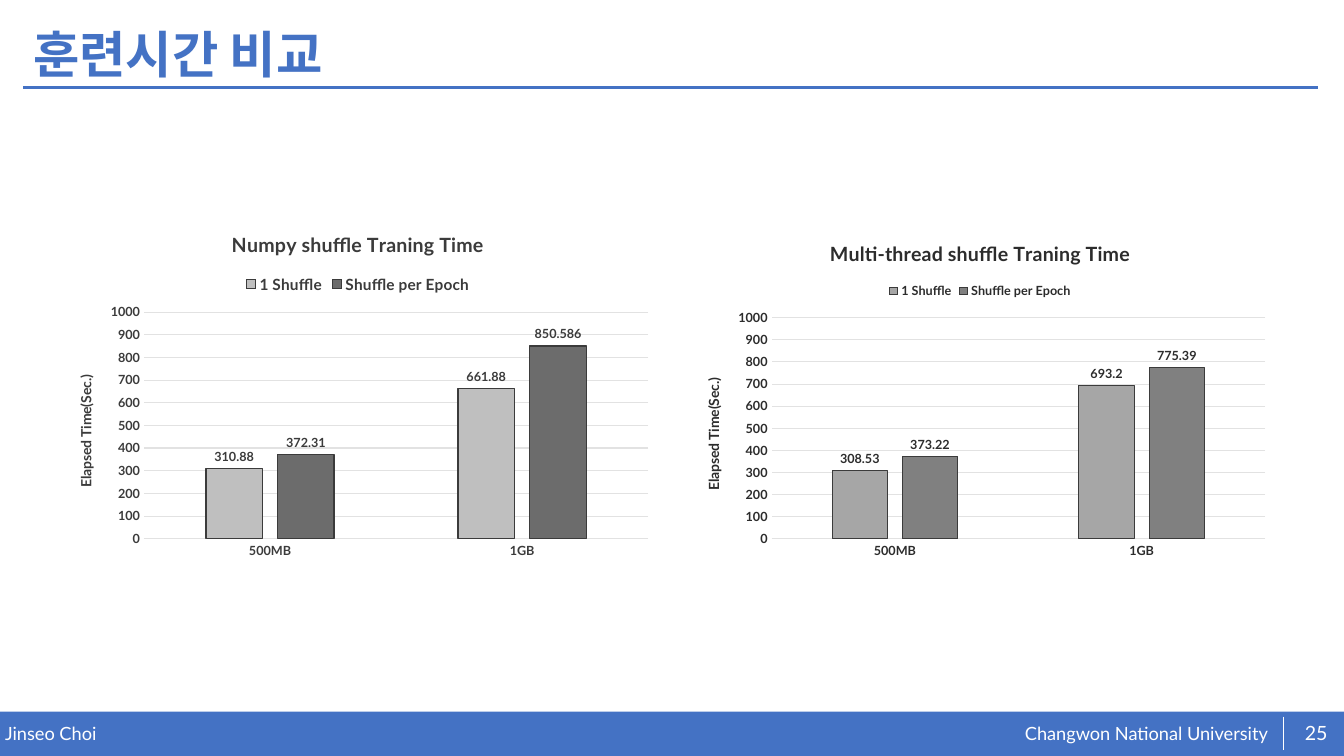
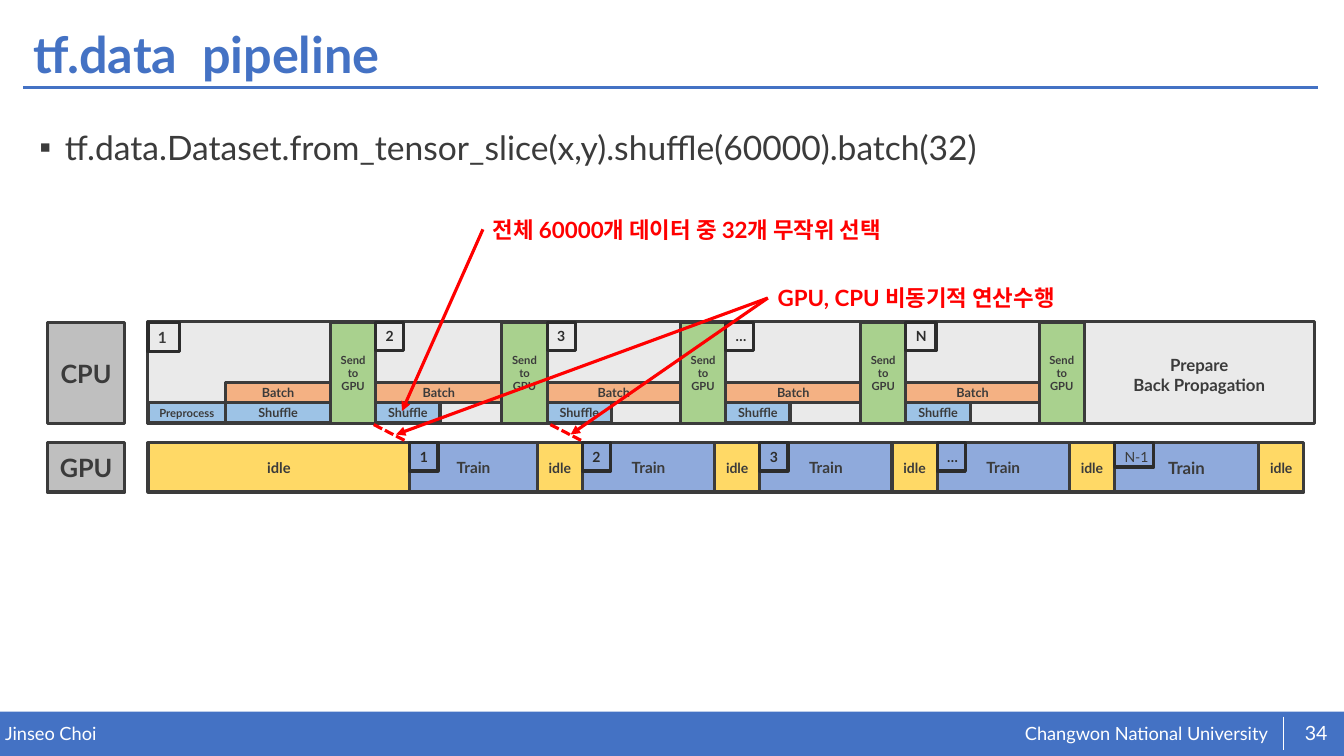
"""Build two slides: a training time comparison and a tf.data pipeline timeline."""
from dataclasses import dataclass
from typing import Optional

from lxml import etree
from pptx import Presentation
from pptx.chart.data import CategoryChartData
from pptx.dml.color import RGBColor
from pptx.enum.chart import XL_CHART_TYPE, XL_LABEL_POSITION, XL_LEGEND_POSITION, XL_TICK_MARK
from pptx.enum.dml import MSO_LINE
from pptx.enum.shapes import MSO_CONNECTOR, MSO_SHAPE
from pptx.enum.text import MSO_ANCHOR, MSO_AUTO_SIZE, PP_ALIGN
from pptx.oxml.ns import qn
from pptx.util import Cm, Pt

LEFT, CENTER = PP_ALIGN.LEFT, PP_ALIGN.CENTER
TOP, MIDDLE = MSO_ANCHOR.TOP, MSO_ANCHOR.MIDDLE
NO_FIT = MSO_AUTO_SIZE.NONE
RECTANGLE = MSO_SHAPE.RECTANGLE
STRAIGHT = MSO_CONNECTOR.STRAIGHT
DASHED = MSO_LINE.SQUARE_DOT
COLUMNS = XL_CHART_TYPE.COLUMN_CLUSTERED
OUTSIDE_END = XL_LABEL_POSITION.OUTSIDE_END
LEGEND_TOP = XL_LEGEND_POSITION.TOP
NO_TICK = XL_TICK_MARK.NONE

FONT = "Lato"
COLORS = {
    "accent": "4472C4", "white": "FFFFFF", "text": "3B3B3B", "dark": "2C2C2C",
    "grid": "E2E2E2", "red": "FF0000", "unit": "BFBFBF", "panel": "EAEAEA",
    "idle": "FFD966", "train": "8FAADC", "shuffle": "9DC3E6", "batch": "F4B183",
    "send": "A9D18E", "silver": "BFBFBF", "graphite": "6C6C6C",
    "ash": "A6A6A6", "gray": "808080",
}
NO_MARGINS = (0, 0, 0, 0)
TEXT_MARGINS = (0.25, 0.13, 0, 0.13)

CPU_TOP, CPU_HEIGHT = 8.13, 2.54
GPU_TOP, GPU_HEIGHT = 11.16, 1.24
BATCH_TOP, SHUFFLE_TOP, STRIP_HEIGHT = 9.63, 10.15, 0.51
START, FIRST_SHUFFLE, FIRST_TRAIN = 3.73, 5.69, 10.33
SLOT = 1.14
SHUFFLE_WIDTH = 1.62
TAG_SIZE = 0.71
SENDS = (8.33, 12.65, 17.15, 21.69, 26.19)
IDLES = (13.54, 18.01, 22.48, 26.95, 31.72)


@dataclass(frozen=True)
class Area:
    left: float
    top: float
    width: float
    height: float

    def lengths(self) -> tuple:
        return Cm(self.left), Cm(self.top), Cm(self.width), Cm(self.height)


@dataclass(frozen=True)
class Block:
    text: str
    area: Area
    fill: str
    size: float


@dataclass(frozen=True)
class Tag:
    text: str
    left: float
    top: float
    width: float = TAG_SIZE
    height: float = TAG_SIZE
    size: float = 10
    color: str = "dark"
    bold: bool = True


@dataclass(frozen=True)
class TimeChart:
    title: str
    area: Area
    values: dict
    fills: tuple
    color: str
    legend_size: float
    outline: float


def rgb(name: str) -> RGBColor:
    return RGBColor.from_string(COLORS[name])


def style_font(font, size: float, color: str = "text", bold: bool = True) -> None:
    font.name = FONT
    font.size = Pt(size)
    font.bold = bold
    font.color.rgb = rgb(color)


def write(frame, text: str, *, size: float, color: str = "text", bold: bool = True,
          align=LEFT, anchor=TOP, margins: Optional[tuple] = None,
          spacing: Optional[float] = None, bullet: Optional[str] = None) -> None:
    frame.word_wrap = True
    frame.auto_size = NO_FIT
    frame.vertical_anchor = anchor
    if margins is not None:
        (frame.margin_left, frame.margin_top,
         frame.margin_right, frame.margin_bottom) = map(Cm, margins)
    for index, line in enumerate(text.split("\n")):
        paragraph = frame.add_paragraph() if index else frame.paragraphs[0]
        if bullet:
            properties = paragraph._p.get_or_add_pPr()
            properties.set("marL", str(Cm(0.64)))
            properties.set("indent", str(-Cm(0.64)))
            etree.SubElement(properties, qn("a:buChar")).set("char", bullet)
        paragraph.alignment = align
        paragraph.space_before = Pt(0)
        if spacing:
            paragraph.line_spacing = spacing
        run = paragraph.add_run()
        run.text = line
        style_font(run.font, size, color, bold)


def add_box(slide, area: Area, fill: Optional[str] = None, outline: Optional[str] = "text"):
    box = slide.shapes.add_shape(RECTANGLE, *area.lengths())
    box.shadow.inherit = False
    if fill:
        box.fill.solid()
        box.fill.fore_color.rgb = rgb(fill)
    else:
        box.fill.background()
    if outline:
        box.line.color.rgb = rgb(outline)
        box.line.width = Pt(2.25)
    else:
        box.line.fill.background()
    return box


def add_text(slide, area: Area, text: str, **style):
    caption = slide.shapes.add_textbox(*area.lengths())
    write(caption.text_frame, text, **style)
    return caption


def add_line(slide, start: tuple, end: tuple, color: str, width: float,
             dashed: bool = False, arrow: bool = False, source=None) -> None:
    connector = slide.shapes.add_connector(STRAIGHT, *map(Cm, start + end))
    connector.line.color.rgb = rgb(color)
    connector.line.width = Pt(width)
    if dashed:
        connector.line.dash_style = DASHED
    if arrow:
        etree.SubElement(connector.line._get_or_add_ln(), qn("a:tailEnd")).set("type", "triangle")
    etree.SubElement(connector._element.spPr, qn("a:effectLst"))
    if source is not None:
        connector.begin_connect(source, 1)


def add_block(slide, block: Block) -> None:
    write(add_box(slide, block.area, block.fill).text_frame, block.text, size=block.size,
          align=CENTER, anchor=MIDDLE, margins=NO_MARGINS)


def add_tag(slide, tag: Tag) -> None:
    box = add_box(slide, Area(tag.left, tag.top, tag.width, tag.height), outline="dark")
    write(box.text_frame, tag.text, size=tag.size, color=tag.color, bold=tag.bold,
          margins=TEXT_MARGINS)


def start_slide(deck, layout: int, title: str, number: int):
    slide = deck.slides.add_slide(deck.slide_layouts[layout])
    heading = slide.shapes.title
    heading.left, heading.top, heading.width, heading.height = Area(0.58, 0.46, 32.66, 1.96).lengths()
    write(heading.text_frame, title, size=36, color="accent", anchor=MIDDLE, spacing=0.9)
    add_box(slide, Area(0, 17.93, 33.87, 1.12), "accent", None)
    footer = {"color": "white", "bold": False, "margins": NO_MARGINS}
    add_text(slide, Area(25.83, 18.19, 6.78, 0.58), "Changwon National University", size=13, **footer)
    add_text(slide, Area(0.13, 18.21, 16.64, 0.56), "Jinseo Choi", size=13, **footer)
    add_line(slide, (0.58, 2.21), (33.22, 2.21), "accent", 2)
    add_line(slide, (32.33, 18.06), (32.33, 18.9), "white", 0.5)
    add_text(slide, Area(32.56, 17.96, 1.22, 1.02), str(number), size=14,
             align=CENTER, anchor=MIDDLE, **footer)
    return slide


def style_title(owner, text: str, size: float, color: str) -> None:
    owner.has_title = True
    run = owner.title_frame.paragraphs[0].add_run() if hasattr(owner, "title_frame") else None
    if run is None:
        title = owner.chart_title if hasattr(owner, "chart_title") else owner.axis_title
        run = title.text_frame.paragraphs[0].add_run()
    run.text = text
    style_font(run.font, size, color)


def write_title(title, text: str, size: float, color: str) -> None:
    run = title.text_frame.paragraphs[0].add_run()
    run.text = text
    style_font(run.font, size, color)


def add_time_chart(slide, spec_: TimeChart) -> None:
    data = CategoryChartData()
    data.categories = ["500MB", "1GB"]
    for name, values in spec_.values.items():
        data.add_series(name, values)
    chart = slide.shapes.add_chart(COLUMNS, *spec_.area.lengths(), data).chart
    style_font(chart.font, 10, spec_.color, False)
    chart.has_title = True
    write_title(chart.chart_title, spec_.title, 14, spec_.color)
    chart.has_legend = True
    chart.legend.position = LEGEND_TOP
    chart.legend.include_in_layout = False
    style_font(chart.legend.font, spec_.legend_size, spec_.color)

    for axis in (chart.category_axis, chart.value_axis):
        axis.major_tick_mark = axis.minor_tick_mark = NO_TICK
        style_font(axis.tick_labels.font, 9, spec_.color)
    sizes, seconds = chart.category_axis, chart.value_axis
    seconds.minimum_scale, seconds.maximum_scale, seconds.major_unit = 0, 1000, 100
    seconds.format.line.fill.background()
    for line in (sizes.format.line, seconds.major_gridlines.format.line):
        line.color.rgb = rgb("grid")
        line.width = Pt(0.75)
    write_title(seconds.axis_title, "Elapsed Time(Sec.)", 10, spec_.color)

    plot = chart.plots[0]
    plot.gap_width, plot.overlap, plot.vary_by_categories = 219, -27, False
    for series, fill in zip(plot.series, spec_.fills):
        series.format.fill.solid()
        series.format.fill.fore_color.rgb = rgb(fill)
        series.format.line.color.rgb = rgb("text")
        series.format.line.width = Pt(spec_.outline)
        labels = series.data_labels
        labels.show_value = True
        labels.position = OUTSIDE_END
        style_font(labels.font, 9, spec_.color)


def timeline_blocks() -> list:
    batch_starts = [FIRST_SHUFFLE] + [send + SLOT for send in SENDS[:-1]]
    train_starts = [FIRST_TRAIN] + [idle + SLOT for idle in IDLES[:-1]]
    blocks = [
        Block("CPU", Area(1.19, CPU_TOP, 1.96, CPU_HEIGHT), "unit", 18),
        Block("GPU", Area(1.19, GPU_TOP, 1.96, GPU_HEIGHT), "unit", 18),
        Block("idle", Area(START, GPU_TOP, FIRST_TRAIN - START, GPU_HEIGHT), "idle", 10.5),
        Block("Preprocess", Area(START, SHUFFLE_TOP, FIRST_SHUFFLE - START, STRIP_HEIGHT), "shuffle", 8),
    ]
    for start, send in zip(batch_starts, SENDS):
        width = send - start if start == FIRST_SHUFFLE else SHUFFLE_WIDTH
        blocks += [
            Block("Shuffle", Area(start, SHUFFLE_TOP, width, STRIP_HEIGHT), "shuffle", 9),
            Block("Batch", Area(start, BATCH_TOP, send - start, STRIP_HEIGHT), "batch", 9),
            Block("Send\nto\nGPU", Area(send, CPU_TOP, SLOT, CPU_HEIGHT), "send", 8),
        ]
    for start, idle in zip(train_starts, IDLES):
        size = 12 if idle == IDLES[-1] else 11
        blocks += [
            Block("Train", Area(start, GPU_TOP, idle - start, GPU_HEIGHT), "train", size),
            Block("idle", Area(idle, GPU_TOP, SLOT, GPU_HEIGHT), "idle", 10),
        ]
    return blocks


def timeline_tags() -> list:
    tags = [Tag("1", START, CPU_TOP, 0.79, 0.74, 11, "text")]
    tags += [Tag(text, send + SLOT, CPU_TOP, 0.76 if text == "N" else TAG_SIZE)
             for text, send in zip("23…N", SENDS)]
    tags += [Tag(text, start, GPU_TOP)
             for text, start in zip("123…", (FIRST_TRAIN, *(idle + SLOT for idle in IDLES)))]
    tags.append(Tag("N-1", IDLES[3] + SLOT, GPU_TOP, 0.99, 0.61, 10, "text", False))
    return tags


def build_comparison(deck) -> None:
    slide = start_slide(deck, 5, "훈련시간 비교", 25)
    for chart in (
        TimeChart("Numpy shuffle Traning Time", Area(1.4, 5.41, 15.24, 8.84),
                  {"1 Shuffle": (310.88, 661.88), "Shuffle per Epoch": (372.31, 850.586)},
                  ("silver", "graphite"), "text", 11, 1),
        TimeChart("Multi-thread shuffle Traning Time", Area(17.22, 5.64, 14.96, 8.61),
                  {"1 Shuffle": (308.53, 693.2), "Shuffle per Epoch": (373.22, 775.39)},
                  ("ash", "gray"), "dark", 9, 0.75),
    ):
        add_time_chart(slide, chart)


def build_pipeline(deck) -> None:
    slide = start_slide(deck, 1, "tf.data  pipeline", 34)
    call = slide.placeholders[1]
    call.left, call.top, call.width, call.height = Area(0.74, 2.67, 32.66, 14.3).lengths()
    write(call.text_frame, "tf.data.Dataset.from_tensor_slice(x,y).shuffle(60000).batch(32)",
          size=24, bold=False, spacing=1.4, bullet="▪")
    add_box(slide, Area(3.71, 8.1, 29.41, 2.57), "panel")
    for block in timeline_blocks():
        add_block(slide, block)
    for tag in timeline_tags():
        add_tag(slide, tag)
    add_text(slide, Area(27.43, 8.81, 5.59, 1.27), "Prepare\nBack Propagation", size=12, align=CENTER)
    note = {"size": 16, "color": "red", "margins": TEXT_MARGINS}
    asynchronous = add_text(slide, Area(19.35, 7.04, 8.13, 0.94), "GPU, CPU 비동기적 연산수행", **note)
    sampling = add_text(slide, Area(12.17, 5.31, 11.1, 0.94),
                        "전체 60000개 데이터 중 32개 무작위 선택", **note)
    for left in (9.42, 13.87):
        add_line(slide, (left, 10.7), (left + 0.84, 11.13), "red", 2.25, dashed=True)
    for source, tip in ((asynchronous, (9.98, 10.95)), (asynchronous, (14.38, 10.95)),
                        (sampling, (10.13, 10.36))):
        add_line(slide, (12.17, 5.78), tip, "red", 2.25, arrow=True, source=source)


def main() -> None:
    deck = Presentation()
    deck.slide_width, deck.slide_height = Cm(33.87), Cm(19.05)
    build_comparison(deck)
    build_pipeline(deck)
    deck.save("out.pptx")


if __name__ == "__main__":
    main()
